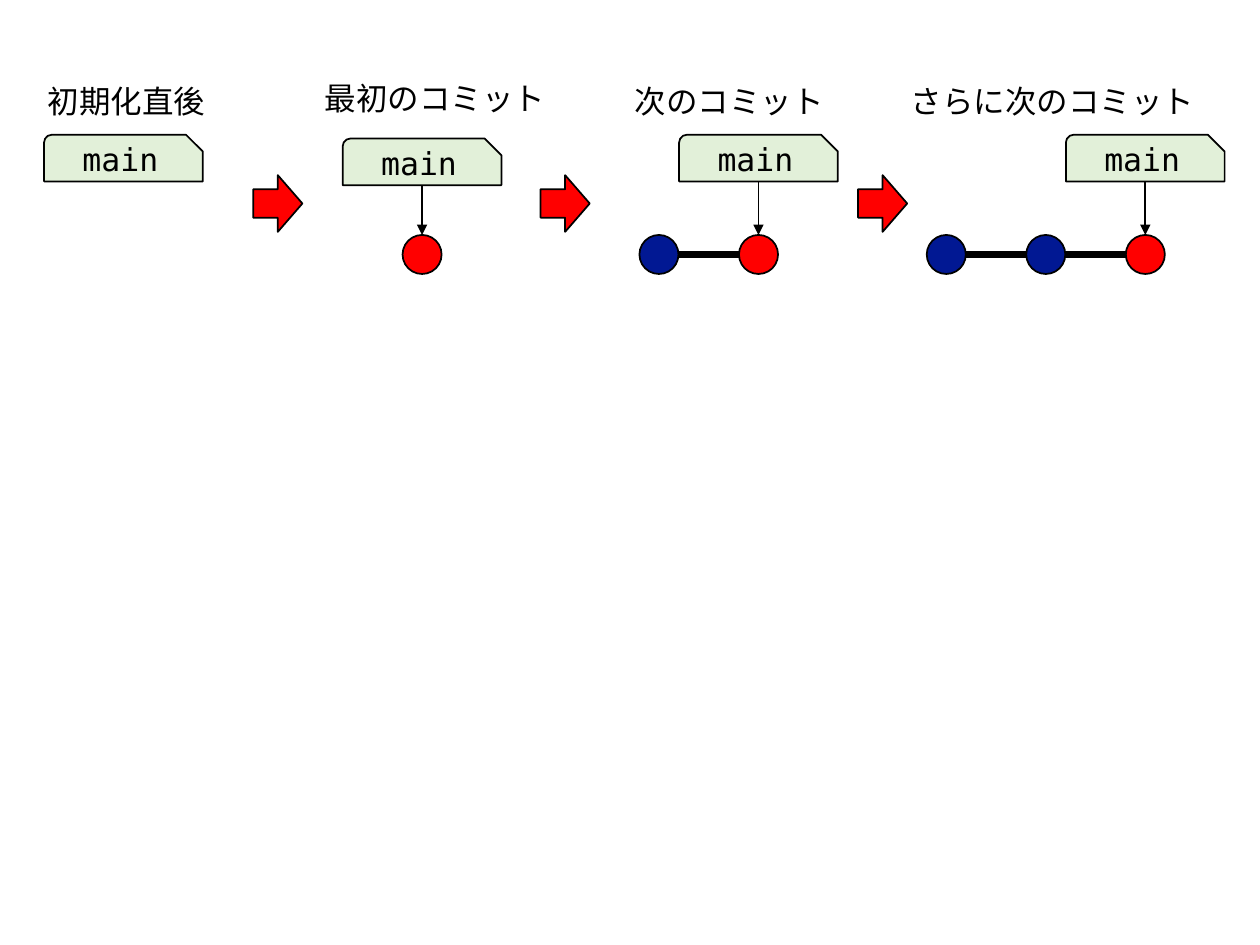
"""Draw how the main branch moves as commits are added."""
from dataclasses import dataclass

from lxml.etree import SubElement
from pptx import Presentation
from pptx.dml.color import RGBColor as RGB
from pptx.enum.shapes import MSO_CONNECTOR as CONN, MSO_SHAPE as SHAPE
from pptx.enum.text import MSO_ANCHOR as ANCHOR, MSO_AUTO_SIZE as AUTO, PP_ALIGN as ALIGN
from pptx.oxml.ns import qn
from pptx.util import Inches, Pt


@dataclass(frozen=True)
class Theme:
    ink: str = "000000"
    head: str = "FF0000"
    commit: str = "011893"
    tag: str = "E2F0D9"
    label_font: str = "Cabin"
    code_font: str = "DejaVu Sans Mono"
    size: float = 18
    thin: float = 1
    thick: float = 4.5


T = Theme()
BRANCH = "main"
STAGES = [
    {"title": "初期化直後", "box": (0.28, 0.6, 1.46), "center": 0.98, "tag_top": 1.07, "commits": 0},
    {"title": "最初のコミット", "box": (2.48, 0.58, 1.97), "center": 3.35, "tag_top": 1.1, "commits": 1},
    {"title": "次のコミット", "box": (4.94, 0.6, 1.72), "center": 6.02, "tag_top": 1.07, "commits": 2},
    {"title": "さらに次のコミット", "box": (7.13, 0.6, 2.47), "center": 9.09, "tag_top": 1.07, "commits": 3},
]
STEP_LEFTS = [2.01, 4.29, 6.81]
STEP_TOP, STEP_W, STEP_H = 1.39, 0.39, 0.45
TITLE_H = 0.4
TAG_W, TAG_H = 1.26, 0.37
TAG_ADJ = (0.167, 0.359)
NODE_Y, NODE_D, PITCH = 2.02, 0.31, 0.79


def put_text(shape, text, font, frame, align):
    tf = shape.text_frame
    for name, value in frame.items():
        setattr(tf, name, value)
    p = tf.paragraphs[0]
    p.alignment = align
    r = p.add_run()
    r.text = text
    for name, value in {"name": font, "size": Pt(T.size)}.items():
        setattr(r.font, name, value)
    r.font.color.rgb = RGB.from_string(T.ink)


def add_shape(s, kind, box, fill):
    sp = s.shapes.add_shape(kind, *map(Inches, box))
    sp.shadow.inherit = False
    sp.fill.solid()
    sp.fill.fore_color.rgb = RGB.from_string(fill)
    sp.line.color.rgb = RGB.from_string(T.ink)
    sp.line.width = Pt(T.thin)
    return sp


def add_line(s, start, end, width, arrow=False):
    line = s.shapes.add_connector(CONN.STRAIGHT, *map(Inches, start + end))
    line.line.color.rgb = RGB.from_string(T.ink)
    line.line.width = Pt(width)
    props = line._element.spPr
    if arrow:
        SubElement(props.find(qn("a:ln")), qn("a:tailEnd"), type="triangle")
    SubElement(props, qn("a:effectLst"))
    return line


def add_title(s, text, box):
    sp = s.shapes.add_textbox(*map(Inches, (*box, TITLE_H)))
    frame = {"word_wrap": False, "auto_size": AUTO.SHAPE_TO_FIT_TEXT}
    put_text(sp, text, T.label_font, frame, ALIGN.LEFT)


def add_tag(s, center, top):
    box = (center - TAG_W / 2, top, TAG_W, TAG_H)
    sp = add_shape(s, SHAPE.SNIP_ROUND_RECTANGLE, box, T.tag)
    for i, value in enumerate(TAG_ADJ):
        sp.adjustments[i] = value
    put_text(sp, BRANCH, T.code_font, {"vertical_anchor": ANCHOR.MIDDLE}, ALIGN.CENTER)


def add_history(s, center, tag_top, commits):
    radius = NODE_D / 2
    for back in range(commits):
        x = center - back * PITCH
        box = (x - radius, NODE_Y - radius, NODE_D, NODE_D)
        node = add_shape(s, SHAPE.OVAL, box, T.commit if back else T.head)
        if back:
            add_line(s, (x + radius, NODE_Y), (x + PITCH - radius, NODE_Y), T.thick)
        else:
            pointer = add_line(s, (x, tag_top + TAG_H), (x, NODE_Y - radius), T.thin, True)
            pointer.end_connect(node, 0)


def main():
    prs = Presentation()
    prs.slide_width, prs.slide_height = Inches(10), Inches(7.5)
    s = prs.slides.add_slide(prs.slide_layouts[6])
    for stage in STAGES:
        add_title(s, stage["title"], stage["box"])
        add_tag(s, stage["center"], stage["tag_top"])
        add_history(s, stage["center"], stage["tag_top"], stage["commits"])
    for left in STEP_LEFTS:
        add_shape(s, SHAPE.RIGHT_ARROW, (left, STEP_TOP, STEP_W, STEP_H), T.head)
    prs.save("out.pptx")


if __name__ == "__main__":
    main()
